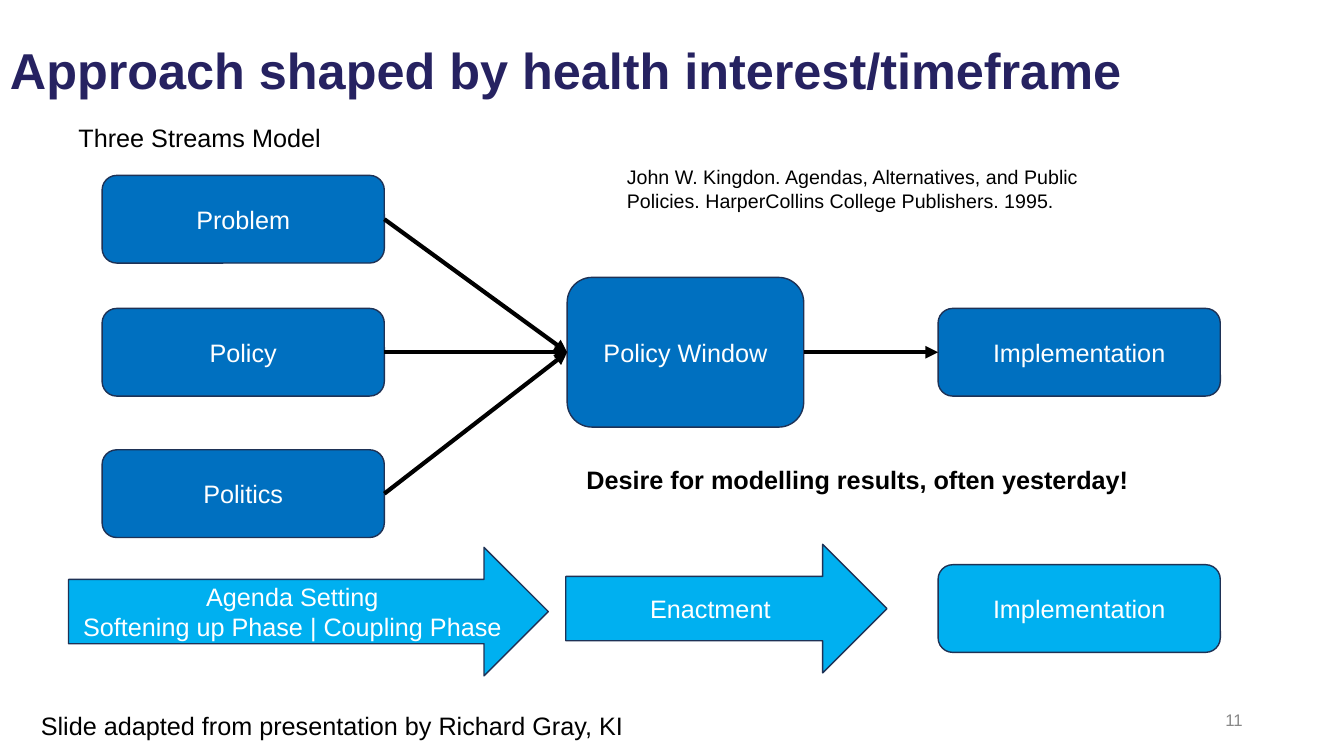
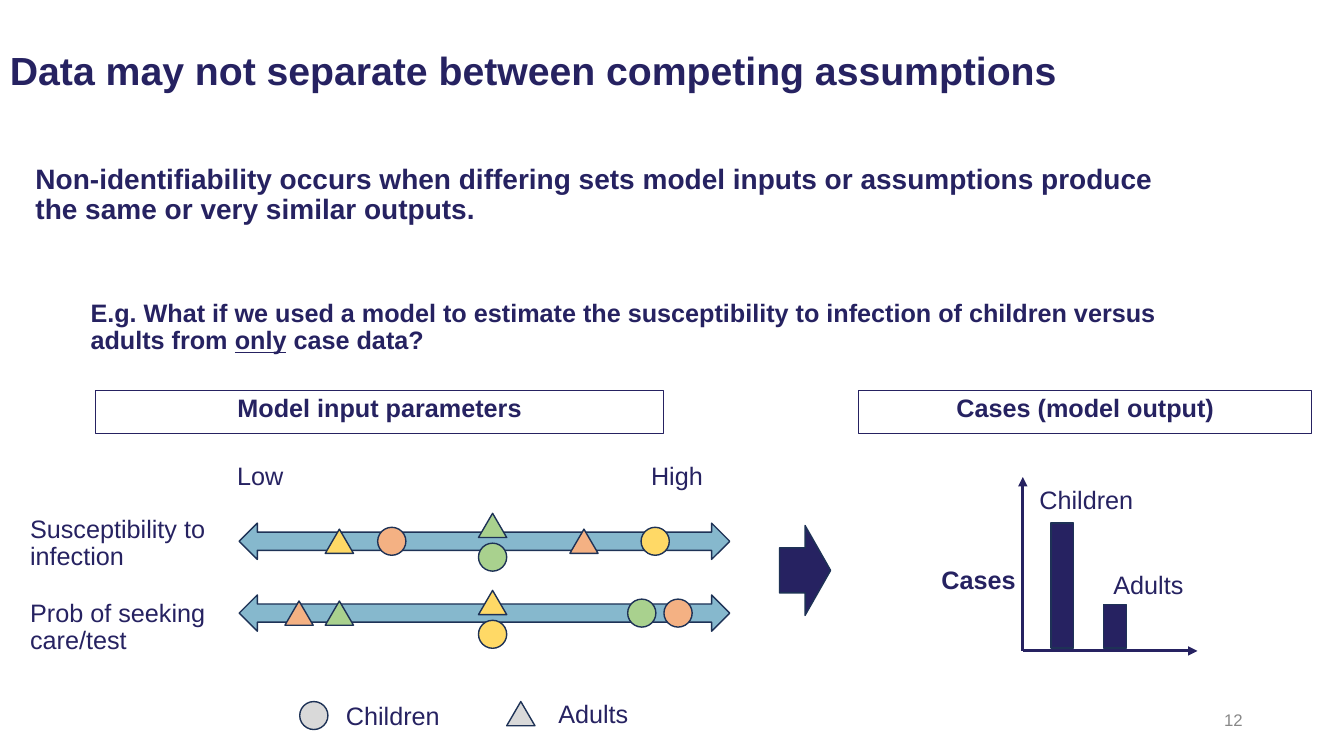
from lxml.etree import SubElement
from pptx import Presentation
from pptx.dml.color import RGBColor
from pptx.enum.shapes import MSO_CONNECTOR as Connector, MSO_SHAPE as Shape
from pptx.enum.text import MSO_ANCHOR as Anchor, PP_ALIGN as Align
from pptx.oxml.ns import qn
from pptx.util import Inches, Pt

rgb = RGBColor.from_string
NAVY, OUTLINE, BLACK, WHITE, GREY = "262261", "1E3256", "000000", "FFFFFF", "888888"
BLUE, SKY, STEEL, SILVER = "0070C0", "00B0F0", "86B8CD", "D9D9D9"
GREEN, YELLOW, ORANGE = "A9D18E", "FFD966", "F4B183"

deck = Presentation()
deck.slide_width, deck.slide_height = Inches(13.33), Inches(7.5)
COL, ROW = deck.slide_width / 100, deck.slide_height / 100  # 100 x 100 grid


def put(slide, box, text="", kind=None, fill=None, line=OUTLINE, weight=1, color=NAVY,
        align=Align.LEFT, anchor=Anchor.TOP, spacing=0.9, **font):
    """Place a shape, or a text box if no kind is given; _word_ is underlined."""
    left, top, width, height = box
    frame = [round(n) for n in (left * COL, top * ROW, width * COL, height * ROW)]
    if kind is None:
        item = slide.shapes.add_textbox(*frame)
    else:
        item = slide.shapes.add_shape(kind, *frame)
        item.shadow.inherit = False
        item.line.color.rgb, item.line.width = rgb(line), Pt(weight)
        if fill:
            item.fill.solid()
            item.fill.fore_color.rgb = rgb(fill)
        else:
            item.fill.background()
    body = item.text_frame
    body.word_wrap, body.vertical_anchor = True, anchor
    for i, words in enumerate(text.split("\n") if text else []):
        paragraph = body.add_paragraph() if i else body.paragraphs[0]
        paragraph.alignment, paragraph.line_spacing = align, spacing
        for j, part in enumerate(words.split("_")):
            run = paragraph.add_run()
            run.text = part
            run.font.color.rgb = rgb(color)
            looks = {"name": "Arial", "size": Pt(18), "bold": False, "underline": j % 2 == 1}
            for name, value in {**looks, **font}.items():
                setattr(run.font, name, value)
    return item


def arrow(slide, color, weight, start=(0, 0), end=(0, 0)):
    """Draw a straight line with an arrowhead at its end."""
    points = [round(n) for x, y in (start, end) for n in (x * COL, y * ROW)]
    link = slide.shapes.add_connector(Connector.STRAIGHT, *points)
    link.line.color.rgb, link.line.width = rgb(color), Pt(weight)
    SubElement(link.line._get_or_add_ln(), qn("a:tailEnd"), type="triangle")
    SubElement(link._element.spPr, qn("a:effectLst"))
    return link


# Titles and slide numbers
slides = []
for number, title, size in (
    (11, "Approach shaped by health interest/timeframe", 36),
    (12, "Data may not separate between competing assumptions", 28),
):
    slide = deck.slides.add_slide(deck.slide_layouts[6])
    put(slide, (0, 0, 89.3, 19.3), title, anchor=Anchor.MIDDLE, size=Pt(size), bold=True)
    put(slide, (70.7, 92.7, 22.5, 5.3), str(number), color=GREY, align=Align.RIGHT,
        anchor=Anchor.MIDDLE, size=Pt(12))
    slides.append(slide)
streams_slide, data_slide = slides

# Three streams model: boxes and phases
BOX_W, BOX_H = 21, 11.6
LEFT_X, RIGHT_X = 7.6, 69.8
MIDDLE_Y = 40.8
diagram = {}
for key, fill, kind, box, label in (
    ("problem", BLUE, Shape.ROUNDED_RECTANGLE, (LEFT_X, 23.2, BOX_W, BOX_H), "Problem"),
    ("policy", BLUE, Shape.ROUNDED_RECTANGLE, (LEFT_X, MIDDLE_Y, BOX_W, BOX_H), "Policy"),
    ("politics", BLUE, Shape.ROUNDED_RECTANGLE, (LEFT_X, 59.5, BOX_W, BOX_H), "Politics"),
    ("window", BLUE, Shape.ROUNDED_RECTANGLE, (42.2, 36.7, 17.6, 19.8), "Policy Window"),
    ("outcome", BLUE, Shape.ROUNDED_RECTANGLE, (RIGHT_X, MIDDLE_Y, BOX_W, BOX_H),
     "Implementation"),
    ("agenda", SKY, Shape.RIGHT_ARROW, (5.1, 72.4, 35.7, 17),
     "Agenda Setting\nSoftening up Phase | Coupling Phase"),
    ("enactment", SKY, Shape.RIGHT_ARROW, (42.1, 72, 23.9, 17), "Enactment"),
    ("final", SKY, Shape.ROUNDED_RECTANGLE, (RIGHT_X, 74.7, BOX_W, BOX_H), "Implementation"),
):
    diagram[key] = put(streams_slide, box, label, kind, fill, color=WHITE,
                       align=Align.CENTER, anchor=Anchor.MIDDLE, spacing=1)

for source, target in (("problem", "window"), ("policy", "window"),
                       ("politics", "window"), ("window", "outcome")):
    link = arrow(streams_slide, BLACK, 3)
    link.begin_connect(diagram[source], 3)
    link.end_connect(diagram[target], 1)

# Three streams model: remarks
for box, remark, font in (
    ((45.9, 21.2, 40.4, 7.6), "John W. Kingdon. Agendas, Alternatives, and Public Policies. "
     "HarperCollins College Publishers. 1995.", {"size": Pt(14)}),
    ((5.1, 15.5, 23.4, 5.3), "Three Streams Model", {}),
    ((2.3, 93.3, 47, 5.3), "Slide adapted from presentation by Richard Gray, KI", {}),
    ((42.9, 60.8, 44, 5.3), "Desire for modelling results, often yesterday!", {"bold": True}),
):
    put(streams_slide, box, remark, color=BLACK, spacing=1, **font)

# Non-identifiability: statement, example and headings
put(data_slide, (1.9, 21.2, 85.1, 12.3),
    "Non-identifiability occurs when differing sets model inputs or assumptions produce "
    "the same or very similar outputs.", size=Pt(20), bold=True)
put(data_slide, (6, 39.1, 82.4, 8),
    "E.g. What if we used a model to estimate the susceptibility to infection of children "
    "versus adults from _only_ case data?", bold=True)
for left, width, heading in ((7.1, 42.3, "Model input parameters"),
                             (63.9, 33.7, "Cases (model output)")):
    put(data_slide, (left, 51.7, width, 5.6), heading, Shape.RECTANGLE, line=NAVY,
        weight=0.75, align=Align.CENTER, bold=True)

# Labels of scales, legend and sketch
LABEL_H = 4.5
for left, top, width, label, bold in (
    (16.9, 60.7, 6.5, "Low", False),
    (47.7, 60.7, 6.5, "High", False),
    (1.5, 67.7, 17.3, "Susceptibility to infection", False),
    (1.5, 78.8, 17.3, "Prob of seeking care/test", False),
    (25, 92.4, 9.3, "Children", False),
    (40.8, 92.1, 9.3, "Adults", False),
    (76.6, 63.9, 9.3, "Children", False),
    (82.1, 75.1, 9.3, "Adults", False),
    (69.3, 74.4, 9.3, "Cases", True),
):
    put(data_slide, (left, top, width, LABEL_H), label, bold=bold)

# Parameter scales with markers: group, left, offset from the scale, colour
CHILD, ADULT = Shape.OVAL, Shape.ISOSCELES_TRIANGLE
MARK_W, MARK_H = 2.1, {CHILD: 3.7, ADULT: 3.2}
SCALE_H = 4.8
for middle, markers in (
    (71.6, ((ADULT, 24.2, 0, YELLOW), (CHILD, 28.1, 0, ORANGE), (ADULT, 35.6, -2.1, GREEN),
            (CHILD, 35.6, 2.1, GREEN), (ADULT, 42.4, 0, ORANGE), (CHILD, 47.7, 0, YELLOW))),
    (81.1, ((ADULT, 21.2, 0, ORANGE), (ADULT, 24.2, 0, GREEN), (ADULT, 35.6, -1.4, YELLOW),
            (CHILD, 35.6, 2.8, YELLOW), (CHILD, 46.7, 0, GREEN), (CHILD, 49.4, 0, ORANGE))),
):
    put(data_slide, (17.8, middle - SCALE_H / 2, 36.5, SCALE_H),
        kind=Shape.LEFT_RIGHT_ARROW, fill=STEEL)
    for group, left, offset, fill in markers:
        height = MARK_H[group]
        put(data_slide, (left, middle + offset - height / 2, MARK_W, height),
            kind=group, fill=fill)

# Legend
for group, left in ((CHILD, 22.3), (ADULT, 37.7)):
    put(data_slide, (left, 92.8, MARK_W, MARK_H[group]), kind=group, fill=SILVER)

# From inputs to the sketch of cases
put(data_slide, (58, 69.5, 3.8, 11.9), kind=Shape.RIGHT_ARROW, fill=NAVY)
ORIGIN, BASE = (76.1, 86.1), 85.7
for tip in ((76.1, 63.1), (89.1, 86.1)):
    arrow(data_slide, NAVY, 2.25, ORIGIN, tip)
for left, height in ((78.2, 16.5), (82.1, 5.7)):
    put(data_slide, (left, BASE - height, 1.7, height), kind=Shape.RECTANGLE, fill=NAVY)

deck.save("out.pptx")
